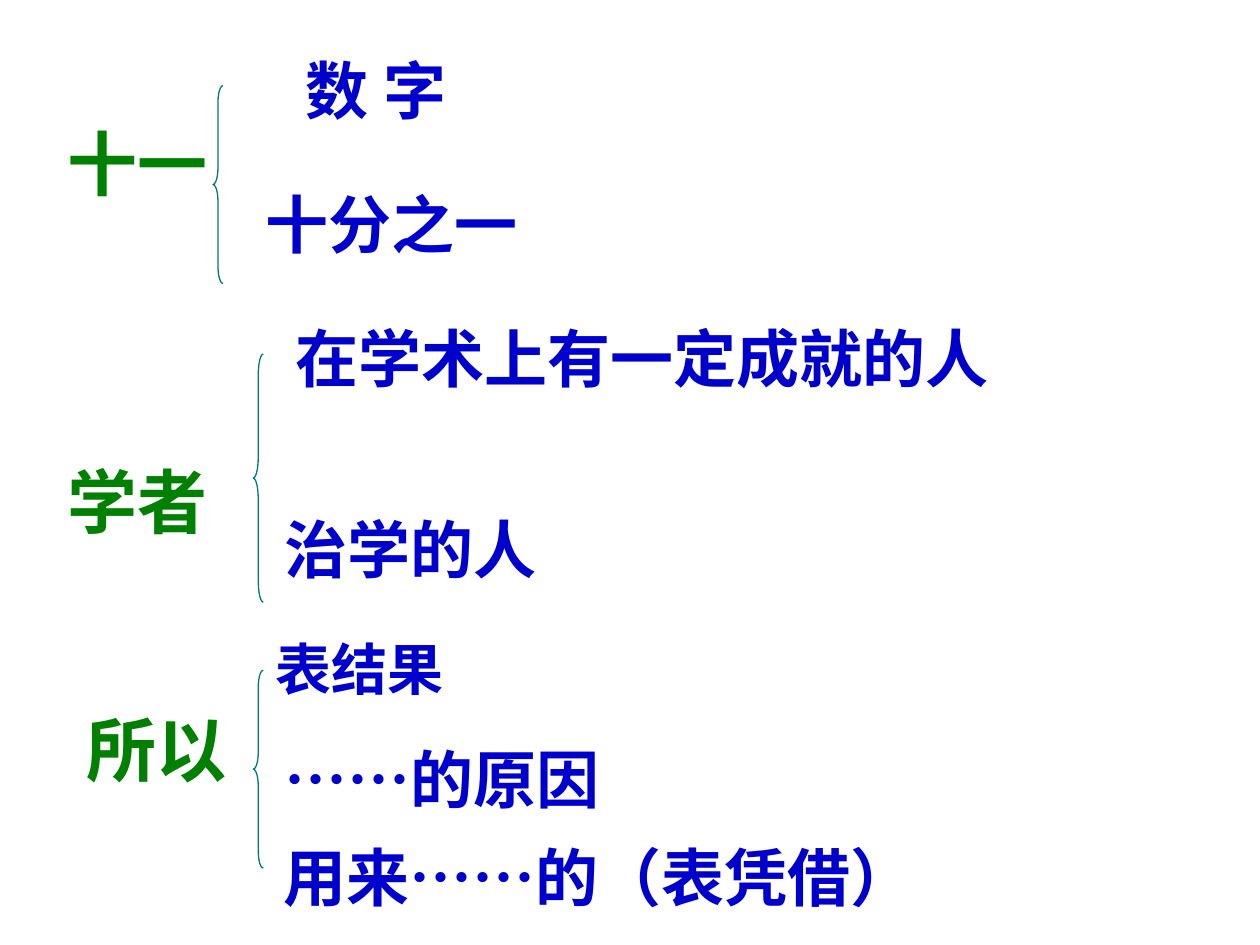
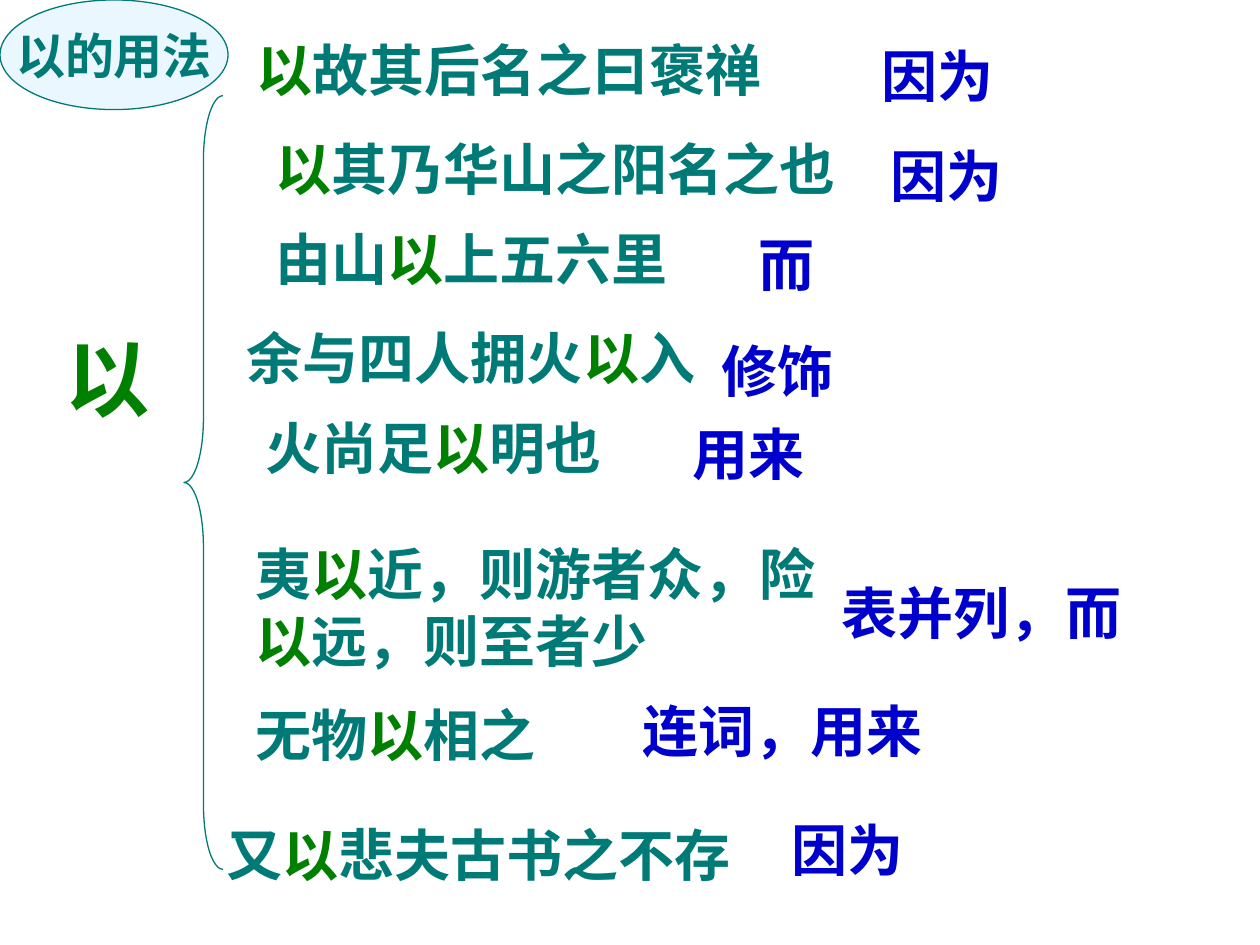
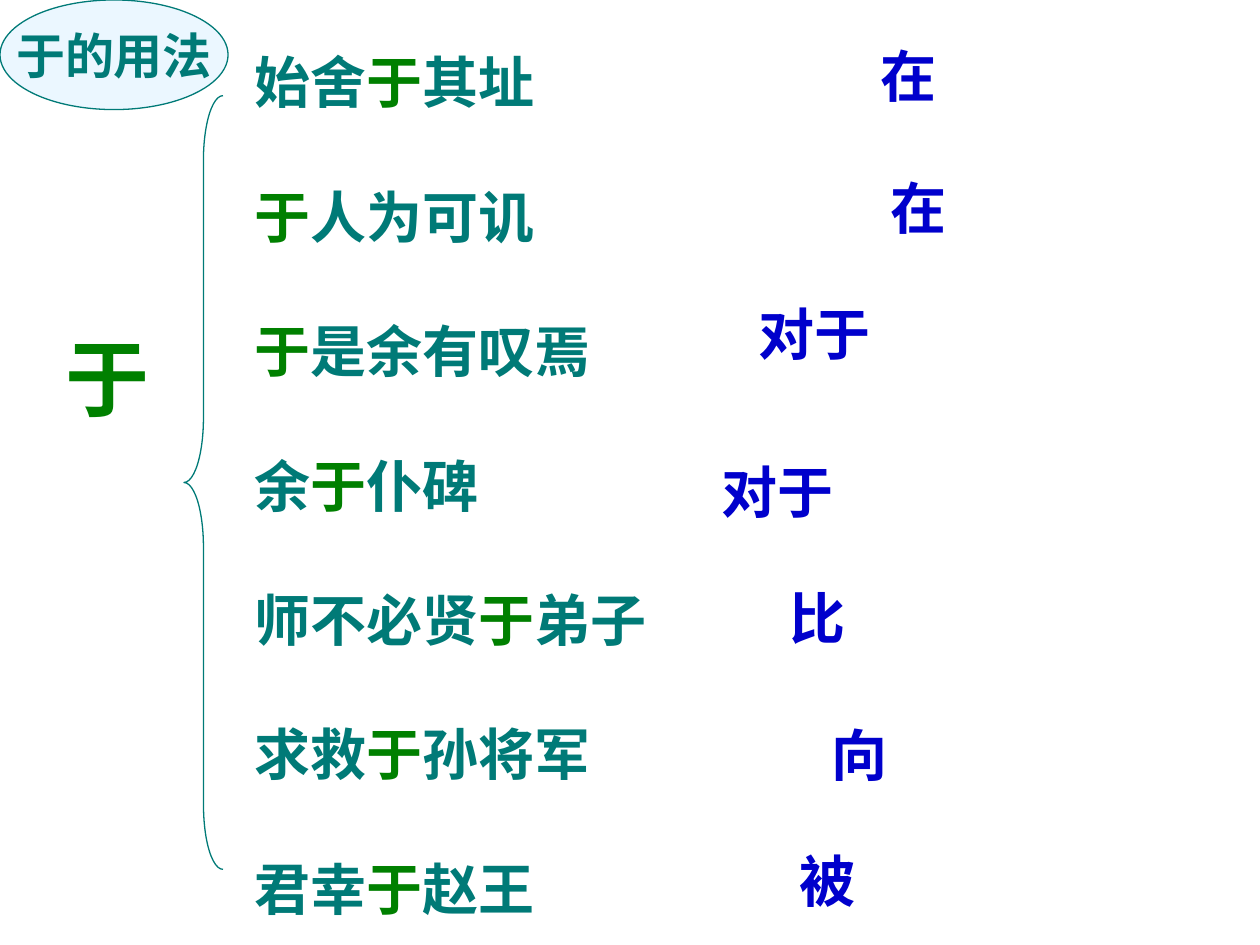
import pptx
import pptx.dml.color
import pptx.enum.lang
import pptx.enum.shapes
import pptx.enum.text
import pptx.util

Inches = pptx.util.Inches
Pt = pptx.util.Pt
LINE_SPACING = 1.2
SIDE_ROOM = 0.25
COLORS = {"key": "008000", "text": "007A77", "meaning": "0000CC", "badge": "EBF7FF"}


def color(name):
    return pptx.dml.color.RGBColor.from_string(COLORS[name])


class Lesson:
    def __init__(self):
        self.deck = pptx.Presentation()
        self.deck.slide_width = Inches(10)
        self.deck.slide_height = Inches(7.5)
        self.page = None

    def new_page(self):
        self.page = self.deck.slides.add_slide(self.deck.slide_layouts[6])

    def style(self, para, size, tone, font="Arial"):
        para.font.name = font
        para.font.size = Pt(size)
        para.font.bold = True
        para.font.color.rgb = color(tone)
        para.font.language_id = pptx.enum.lang.MSO_LANGUAGE_ID.SIMPLIFIED_CHINESE

    def text_box(self, left, top, width, height, wrap):
        box = self.page.shapes.add_textbox(Inches(left), Inches(top), Inches(width), Inches(height))
        box.text_frame.word_wrap = wrap
        box.text_frame.auto_size = pptx.enum.text.MSO_AUTO_SIZE.SHAPE_TO_FIT_TEXT
        return box.text_frame

    def fitted_para(self, left, top, text, size, width, lines=1):
        fitted = len(text) * size / 72 + SIDE_ROOM
        height = lines * size * LINE_SPACING / 72 + 0.1
        return self.text_box(left, top, width or fitted, height, width is not None).paragraphs[0]

    def label(self, left, top, text, size=32, tone="meaning", width=None):
        para = self.fitted_para(left, top, text, size, width)
        para.text = text
        self.style(para, size, tone)

    def marked_spans(self, para, text, key):
        for index, part in enumerate(text.split(key)):
            if index:
                span = para.add_run()
                span.text = key
                span.font.color.rgb = color("key")
            if part:
                para.add_run().text = part

    def example(self, left, top, text, key, width=None, lines=1):
        para = self.fitted_para(left, top, text, 32, width, lines)
        self.marked_spans(para, text, key)
        self.style(para, 32, "text")

    def example_list(self, left, top, width, height, texts, key):
        frame = self.text_box(left, top, width, height, True)
        for index, text in enumerate(texts):
            para = frame.add_paragraph() if index else frame.paragraphs[0]
            if index:
                para.space_before = Pt(32 * LINE_SPACING)
            para.alignment = pptx.enum.text.PP_ALIGN.JUSTIFY
            self.marked_spans(para, text, key)
            self.style(para, 32, "text", "Times New Roman")

    def shape(self, kind, left, top, width, height):
        shape = self.page.shapes.add_shape(kind, Inches(left), Inches(top), Inches(width), Inches(height))
        shape.shadow.inherit = False
        shape.line.color.rgb = color("text")
        shape.line.width = Pt(0.75)
        return shape

    def brace(self, left, top, width, height):
        brace = self.shape(pptx.enum.shapes.MSO_SHAPE.LEFT_BRACE, left, top, width, height)
        brace.fill.background()
        brace.adjustments[0] = height / width / 12

    def badge(self, text):
        badge = self.shape(pptx.enum.shapes.MSO_SHAPE.OVAL, 0, 0, 1.81, 0.87)
        badge.fill.solid()
        badge.fill.fore_color.rgb = color("badge")
        frame = badge.text_frame
        frame.word_wrap = False
        frame.vertical_anchor = pptx.enum.text.MSO_ANCHOR.MIDDLE
        para = frame.paragraphs[0]
        para.text = text
        para.alignment = pptx.enum.text.PP_ALIGN.CENTER
        self.style(para, 28, "text")

    def usage_page(self, key, meanings):
        self.new_page()
        self.label(0.42, 2.54, key, 48, "key")
        self.brace(1.46, 0.76, 0.31, 6.14)
        for meaning in meanings:
            self.label(*meaning)
        self.badge(key + "的用法")


def word_page(lesson):
    lesson.new_page()
    for left, top, word in ((0.44, 0.91, "十一"), (0.44, 3.59, "学者"), (0.59, 5.56, "所以")):
        lesson.label(left, top, word, 40, "key")
    for left, top, height in ((1.69, 0.68, 1.57), (2.01, 2.81, 1.97), (2.01, 5.32, 1.57)):
        lesson.brace(left, top, 0.08, height)
    for left, top, meaning, size, width in (
        (2.33, 0.36, "数 字", 36, 1.67),
        (2.01, 1.42, "十分之一", 36, 3.15),
        (2.25, 2.49, "在学术上有一定成就的人", 36, None),
        (2.16, 4, "治学的人", 36, 2.84),
        (2.09, 4.99, "表结果", 32, None),
        (2.16, 5.83, "……的原因", 36, None),
        (2.15, 6.61, "用来……的（表凭借）", 36, None),
    ):
        lesson.label(left, top, meaning, size, width=width)


def yi_page(lesson):
    lesson.usage_page("以", (
        (6.9, 0.28, "因为"),
        (6.97, 1.07, "因为"),
        (5.92, 1.78, "而"),
        (5.63, 2.62, "修饰"),
        (5.4, 3.28, "用来"),
        (6.58, 4.54, "表并列，而"),
        (5, 5.48, "连词，用来"),
        (6.18, 6.42, "因为"),
    ))
    for left, top, text in (
        (1.94, 0.23, "以故其后名之曰褒禅"),
        (2.09, 1.02, "以其乃华山之阳名之也"),
        (2.09, 1.73, "由山以上五六里"),
        (1.86, 2.52, "余与四人拥火以入"),
        (2.01, 3.23, "火尚足以明也"),
        (1.93, 5.51, "无物以相之"),
        (1.7, 6.46, "又以悲夫古书之不存"),
    ):
        lesson.example(left, top, text, "以")
    lesson.example(1.93, 4.23, "夷以近，则游者众，险以远，则至者少", "以", 4.73, 2)


def yu_page(lesson):
    lesson.usage_page("于", (
        (6.89, 0.28, "在"),
        (6.97, 1.33, "在"),
        (5.92, 2.33, "对于"),
        (5.63, 3.58, "对于"),
        (6.17, 4.58, "比"),
        (6.5, 5.67, "向"),
        (6.25, 6.67, "被"),
    ))
    sentences = ("始舍于其址", "于人为可讥", "于是余有叹焉", "余于仆碑",
                 "师不必贤于弟子", "求救于孙将军", "君幸于赵王")
    lesson.example_list(1.92, 0.33, 8.08, 7.04, sentences, "于")


def main():
    lesson = Lesson()
    word_page(lesson)
    yi_page(lesson)
    yu_page(lesson)
    lesson.deck.save("out.pptx")


if __name__ == "__main__":
    main()
